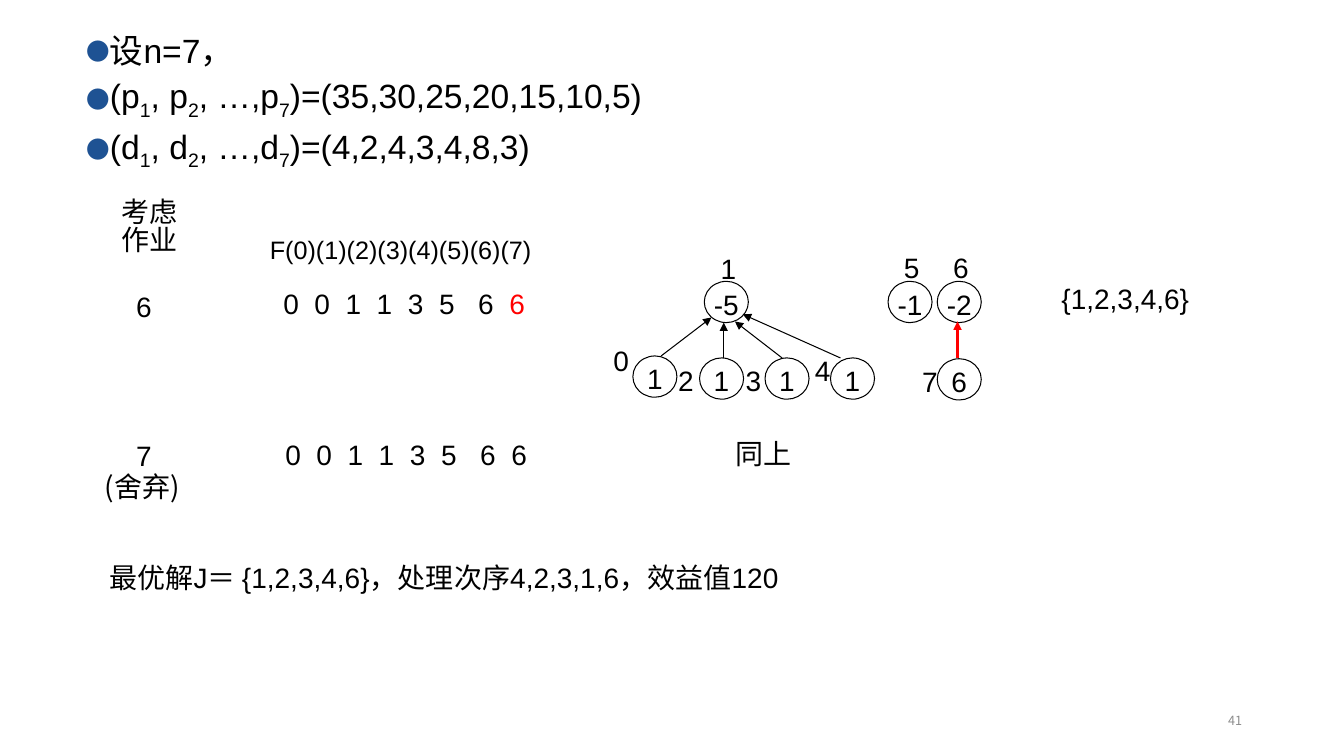
from lxml import etree
from pptx import Presentation
from pptx import util as u
from pptx.dml.color import RGBColor
from pptx.enum import shapes, text
from pptx.oxml import ns

BLACK = RGBColor(0x00, 0x00, 0x00)
RED = RGBColor(0xFF, 0x00, 0x00)
GREY = RGBColor(0x8C, 0x8C, 0x8C)
BULLET = "1E5293"
LATIN, CHINESE = "Arial", "Noto Sans CJK SC"
LEFT, CENTER, RIGHT = text.PP_ALIGN.LEFT, text.PP_ALIGN.CENTER, text.PP_ALIGN.RIGHT


def add_xml(parent, tag, **attributes):
    element = etree.SubElement(parent, ns.qn(tag))
    for name, value in attributes.items():
        element.set(name, str(value))
    return element


class JobSlide:
    def __init__(self, slide):
        self.slide = slide

    def run(self, paragraph, words, size=20, color=BLACK, font=LATIN, baseline=0):
        run = paragraph.add_run()
        run.text = words
        run.font.size = u.Pt(size)
        run.font.name = font
        run.font.color.rgb = color
        properties = run.font._element
        add_xml(properties, "a:ea", typeface=CHINESE)
        if baseline:
            properties.set("baseline", str(baseline * 1000))

    def frame(self, shape, inset=(0, 0), wrap=True):
        frame = shape.text_frame
        frame.word_wrap = wrap
        frame.vertical_anchor = text.MSO_ANCHOR.TOP
        frame.margin_left = frame.margin_right = u.Cm(inset[0])
        frame.margin_top = frame.margin_bottom = u.Cm(inset[1])
        return frame

    def box(self, left, top, width, height, inset=(0, 0), wrap=True):
        shape = self.slide.shapes.add_textbox(*map(u.Cm, (left, top, width, height)))
        return self.frame(shape, inset, wrap)

    def label(self, words, left, top, width, height, align=LEFT, inset=(0, 0), **style):
        frame = self.box(left, top, width, height, inset)
        frame.paragraphs[0].alignment = align
        self.run(frame.paragraphs[0], words, **style)
        return frame

    def bullets(self, lines, left, top, width, height):
        """Each line is a list of (words, baseline) pairs."""
        frame = self.box(left, top, width, height, (0.25, 0.13))
        for index, line in enumerate(lines):
            paragraph = frame.add_paragraph() if index else frame.paragraphs[0]
            paragraph.line_spacing = 1.1
            properties = paragraph._p.get_or_add_pPr()
            properties.set("marL", str(u.Cm(0.48)))
            properties.set("indent", str(u.Cm(-0.48)))
            add_xml(add_xml(properties, "a:buClr"), "a:srgbClr", val=BULLET)
            add_xml(properties, "a:buSzPct", val=70000)
            add_xml(properties, "a:buFont", typeface=CHINESE)
            add_xml(properties, "a:buChar", char="●")
            for words, baseline in line:
                self.run(paragraph, words, size=24, baseline=baseline)

    def number_row(self, numbers, left, top, last_color):
        """Eight numbers on tab stops, with a wider gap before the seventh."""
        paragraph = self.box(left, top, 7, 1).paragraphs[0]
        stops = add_xml(paragraph._p.get_or_add_pPr(), "a:tabLst")
        for column in range(1, len(numbers)):
            position = 0.785 * column + (0.2 if column >= 6 else 0)
            add_xml(stops, "a:tab", pos=u.Cm(position), algn="l")
        self.run(paragraph, "\t".join(numbers[:-1]) + "\t")
        self.run(paragraph, numbers[-1], color=last_color)

    def node(self, value, left, top, name, name_left, name_top):
        circle = self.slide.shapes.add_shape(
            shapes.MSO_SHAPE.OVAL, *map(u.Cm, (left, top, 1.11, 1.04)))
        circle.shadow.inherit = False
        circle.fill.background()
        circle.line.color.rgb = BLACK
        circle.line.width = u.Pt(0.75)
        paragraph = self.frame(circle).paragraphs[0]
        paragraph.alignment = CENTER
        self.run(paragraph, value)
        self.label(name, name_left, name_top, 0.43, 0.66, CENTER)

    def arrow(self, start, end, color=BLACK, width=0.75):
        line = self.slide.shapes.add_connector(
            shapes.MSO_CONNECTOR.STRAIGHT, *map(u.Cm, (*start, *end)))
        line.line.color.rgb = color
        line.line.width = u.Pt(width)
        add_xml(line.line._get_or_add_ln(), "a:tailEnd", type="triangle")
        add_xml(line._element.spPr, "a:effectLst")


def sequence(letter, values):
    return [(f"({letter}", 0), ("1", -25), (f", {letter}", 0), ("2", -25),
            (f", …,{letter}", 0), ("7", -25), (f")=({values})", 0)]


def main():
    presentation = Presentation()
    presentation.slide_width, presentation.slide_height = u.Cm(33.87), u.Cm(19.05)
    page = JobSlide(presentation.slides.add_slide(presentation.slide_layouts[6]))

    number = page.label("41", 23.93, 17.65, 7.62, 1.02, RIGHT, (0.25, 0.13),
                        size=9, color=GREY, font=CHINESE)
    number.vertical_anchor = text.MSO_ANCHOR.MIDDLE

    page.bullets([[("设n=7，", 0)], sequence("p", "35,30,25,20,15,10,5"),
                  sequence("d", "4,2,4,3,4,8,3")], 1.93, 0.53, 15.29, 4.6)

    heading = page.label("考虑", 3.07, 5.03, 1.83, 2.01, font=CHINESE)
    page.run(heading.add_paragraph(), "作业", font=CHINESE)
    for paragraph in heading.paragraphs:
        paragraph.line_spacing = 0.84
    page.label("F(0)(1)(2)(3)(4)(5)(6)(7)", 6.55, 5.77, 7.8, 1.02,
               inset=(0.25, 0.13), size=18)

    row = "0 0 1 1 3 5 6 6".split()
    page.label("6", 3.43, 7.29, 0.61, 0.86)
    page.number_row(row, 7.14, 7.21, RED)
    page.label("{1,2,3,4,6}", 26.75, 7.09, 4.09, 0.99)
    page.label("7", 3.43, 11.05, 0.61, 0.86)
    page.label("(舍弃)", 2.64, 11.84, 2.59, 0.86, font=CHINESE)
    page.number_row(row, 7.19, 11.02, BLACK)
    page.label("同上", 18.54, 11, 2, 1, font=CHINESE)

    for node in [
        ("1", 15.95, 8.97, "0", 15.44, 8.66),
        ("-5", 17.75, 7.09, "1", 18.14, 6.35),
        ("1", 17.63, 9.02, "2", 17.07, 9.17),
        ("-1", 22.38, 7.09, "5", 22.76, 6.32),
        ("-2", 23.62, 7.09, "6", 24.0, 6.32),
        ("6", 23.62, 9.04, "7", 23.22, 9.19),
        ("1", 19.28, 9.02, "3", 18.77, 9.17),
        ("1", 20.93, 9.02, "4", 20.52, 8.92),
    ]:
        page.node(*node)
    for start, end in [
        ((21.18, 9.02), (18.72, 7.92)),
        ((18.24, 9.02), (18.24, 8.13)),
        ((19.71, 9.02), (18.52, 8.1)),
        ((16.66, 8.97), (17.93, 8)),
    ]:
        page.arrow(start, end)
    page.arrow((24.13, 9.02), (24.13, 8.1), RED, 2)

    answer = page.box(2.51, 14, 18.67, 1.12, (0.25, 0.13)).paragraphs[0]
    for words, font in [("最优解", CHINESE), ("J＝ {1,2,3,4,6}", LATIN),
                        ("，处理次序", CHINESE), ("4,2,3,1,6", LATIN),
                        ("，效益值", CHINESE), ("120", LATIN)]:
        page.run(answer, words, font=font)

    presentation.save("out.pptx")


if __name__ == "__main__":
    main()
